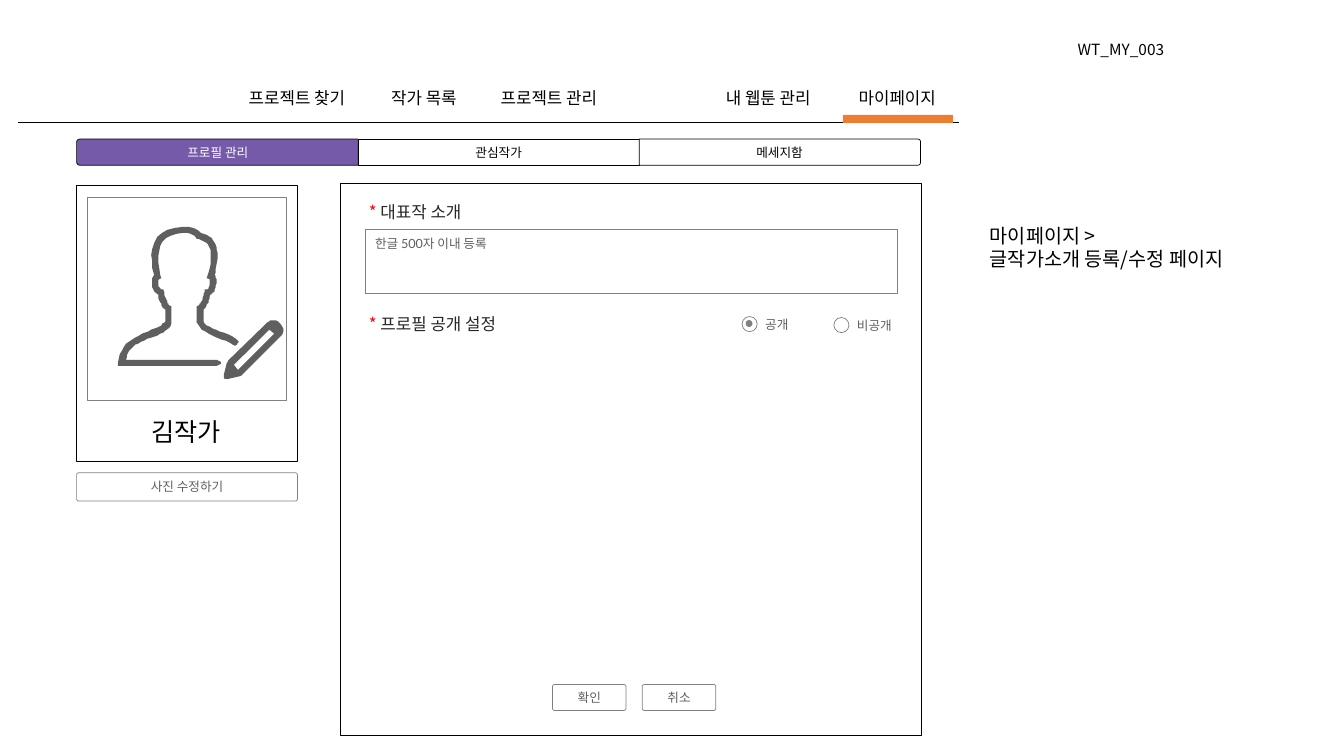
from lxml import etree
from pptx import Presentation, util as u
from pptx.dml.color import RGBColor
from pptx.enum import shapes, text
from pptx.oxml.ns import qn

KOREAN, LATIN = "Noto Sans CJK KR", "Lato"
BLACK, WHITE, GREY, EDGE, DARK = "000000", "FFFFFF", "5F5F5F", "808080", "262626"
RED, PURPLE, ORANGE = "FF0000", "755AA9", "ED7D31"
KIND = shapes.MSO_SHAPE
LEFT, CENTER = text.PP_ALIGN.LEFT, text.PP_ALIGN.CENTER

MENU = [("프로젝트 찾기", 2.3, 1.29), ("작가 목록", 3.74, 0.93), ("프로젝트 관리", 4.81, 1.27),
        ("내 웹툰 관리", 7.02, 1.2), ("마이페이지", 8.36, 1.08)]
TABS = [("프로필 관리", KIND.ROUND_2_SAME_RECTANGLE, (0, 0.121), PURPLE, WHITE),
        ("관심작가", KIND.RECTANGLE, (), WHITE, BLACK),
        ("메세지함", KIND.ROUND_2_SAME_RECTANGLE, (0.106, 0), WHITE, BLACK)]
FIELDS = [("대표작 소개", 1.95, 5.81), ("프로필 공개 설정", 3.06, 3.26)]
RADIOS = [("공개", 7.36, 3.14, 0.41, True), ("비공개", 8.27, 3.15, 0.54, False)]
BUTTONS = ["확인", "취소"]
NOTE = ["마이페이지 >", "글작가소개 등록/수정 페이지"]

MARGIN, TAB_TOP, TAB_W, TAB_H = 0.76, 1.38, 2.79, 0.26
BUTTON_LEFT, BUTTON_STEP = 5.48, 0.89

# Outlines in hundredths of an inch: M move, L line, C cubic curve.
OUTER_LEFT = """M 182 225 C 167 225 157 231 153 241 C 149 250 150 261 153 273
C 151 275 150 278 151 281 C 151 285 152 288 154 290 C 154 291 156 291 157 292
C 157 295 158 299 160 301 C 160 303 161 305 162 306 C 163 306 163 307 164 307
C 164 311 164 314 164 319 C 162 321 160 323 156 325 C 152 327 146 329 141 331
C 135 334 130 337 125 341 C 121 346 118 352 117 360 L 117 363 L 215 363"""
INNER_LEFT = """C 220 363 220 357 215 357 L 125 357 C 126 352 127 349 130 346
C 133 342 138 340 143 338 C 149 335 154 334 159 331 C 164 329 168 326 170 321
L 170 304 L 168 303 C 167 302 166 300 166 299 C 164 296 163 292 163 290
L 162 287 L 160 287 C 158 286 157 284 157 280 C 156 279 157 278 158 277
L 160 276 L 159 273 C 156 261 156 251 159 244 C 162 236 169 232 182 231"""
INNER_RIGHT = """C 189 231 193 233 194 235 L 195 237 L 197 237 C 201 238 204 240 206 242
C 208 245 209 248 209 252 C 210 260 208 269 206 273 L 205 276 L 208 277
C 208 284 207 285 206 287 L 203 287 L 203 290 C 202 292 201 296 200 299
C 199 300 198 302 197 303 L 195 304 L 195 320 L 196 321
C 198 327 205 330 211 333 C 218 336 226 339 231 342 C 235 345 239 339 235 337"""
OUTER_RIGHT = """C 228 332 221 330 214 327 C 208 325 204 322 202 319 C 202 314 202 311 202 307
C 204 305 205 303 206 301 C 207 299 208 295 209 292 C 210 291 211 291 212 290
C 213 288 214 285 215 281 C 215 278 214 275 213 273 C 214 268 216 260 216 251
C 215 247 214 242 211 238 C 209 235 205 232 199 231 C 196 227 190 225 182 225"""
PENCIL = """M 271 318 C 269 318 266 319 264 321 L 226 358 C 226 359 226 359 225 360
L 222 372 C 221 375 224 377 226 376 L 239 373 C 239 373 240 372 240 372 L 278 334
C 282 331 282 325 278 321 C 276 319 274 318 271 318
M 267 327 L 272 331 L 236 367 L 232 362 L 267 327"""
ICON = [OUTER_LEFT, INNER_LEFT, INNER_RIGHT, OUTER_RIGHT, PENCIL]


def color(hex_code):
    """Turn a hex string into a colour."""
    return RGBColor.from_string(hex_code)


def inches(*lengths):
    """Turn numbers into inch lengths."""
    return [u.Inches(length) for length in lengths]


def paint(shape, fill=None, line=None, weight=0.5):
    """Set fill and outline, and drop the shadow."""
    shape.shadow.inherit = False
    if fill:
        shape.fill.solid()
        shape.fill.fore_color.rgb = color(fill)
    else:
        shape.fill.background()
    if line:
        shape.line.color.rgb = color(line)
        shape.line.width = u.Pt(weight)
    else:
        shape.line.fill.background()
    return shape


def write(frame, lines, size, font=LATIN, ink=GREY, align=LEFT):
    """Fill a text frame; a line is a string or a list of (words, ink) runs."""
    for i, line in enumerate(lines):
        paragraph = frame.add_paragraph() if i else frame.paragraphs[0]
        paragraph.alignment = align
        paragraph.font.size, paragraph.font.name = u.Pt(size), font
        if isinstance(line, str):
            paragraph.add_run().text = line
            paragraph.font.color.rgb = color(ink)
            continue
        for words, run_ink in line:
            run = paragraph.add_run()
            run.text = words
            run.font.color.rgb = color(run_ink)


def box(parent, kind, at, fill=None, line=None, weight=0.5, adjust=()):
    """Add a preset shape."""
    shape = parent.add_shape(kind, *inches(*at))
    for i, share in enumerate(adjust):
        shape.adjustments[i] = share
    return paint(shape, fill, line, weight)


def label(parent, at, lines, size, font=KOREAN, ink=BLACK, align=LEFT, wrap=True):
    """Add a text box."""
    frame = parent.add_textbox(*inches(*at)).text_frame
    frame.word_wrap = wrap
    frame.auto_size = text.MSO_AUTO_SIZE.SHAPE_TO_FIT_TEXT
    write(frame, lines, size, font, ink, align)
    return frame


def button(at, caption, corner):
    """Add a rounded button with a centred caption."""
    shape = box(canvas, KIND.ROUNDED_RECTANGLE, at, WHITE, EDGE, adjust=[corner])
    shape.text_frame.vertical_anchor = text.MSO_ANCHOR.MIDDLE
    write(shape.text_frame, [caption], 9, align=CENTER)


def tab(parent, column, caption, kind, corners, fill, ink):
    """Add one tab; end tabs are turned so their round corners face outward."""
    left, turned = MARGIN + column * TAB_W, bool(corners)
    at = (left, TAB_TOP, TAB_W, TAB_H)
    if turned:
        shift = (TAB_W - TAB_H) / 2
        at = (left + shift, TAB_TOP - shift, TAB_H, TAB_W)
    shape = box(parent, kind, at, fill, BLACK, adjust=corners)
    frame = shape.text_frame
    frame.margin_left = frame.margin_right = frame.margin_top = frame.margin_bottom = 0
    frame.vertical_anchor = text.MSO_ANCHOR.MIDDLE
    if turned:
        shape.rotation = 90
        frame._txBody.find(qn("a:bodyPr")).set("vert", "vert270")
    write(frame, [caption], 9, ink=ink, align=CENTER)


def radio(caption, left, top, width, chosen):
    """Add a radio button with its caption."""
    group = canvas.add_group_shape().shapes
    box(group, KIND.OVAL, (left, top, 0.15, 0.15), WHITE, EDGE)
    if chosen:
        box(group, KIND.OVAL, (left + 0.04, top + 0.04, 0.06, 0.06), EDGE, EDGE)
    frame = label(group, (left + 0.15, top - 0.04, width, 0.23), [caption], 9, LATIN, GREY, wrap=False)
    frame.margin_left = frame.margin_right = u.Inches(0.08)
    frame.margin_top = frame.margin_bottom = u.Inches(0.04)
    frame.vertical_anchor = text.MSO_ANCHOR.MIDDLE


def contours(outline, steps=5):
    """Turn an outline into lists of points, with curves cut into short steps."""
    found = []
    for part in outline.replace("M", "|M").replace("L", "|L").replace("C", "|C").split("|")[1:]:
        command, *numbers = part.split()
        values = [int(number) for number in numbers]
        points = list(zip(values[::2], values[1::2]))
        if command == "M":
            found.append(points)
        elif command == "L":
            found[-1] += points
        else:
            curve = [found[-1][-1]] + points
            for t in (i / steps for i in range(1, steps + 1)):
                weights = ((1 - t) ** 3, 3 * t * (1 - t) ** 2, 3 * t * t * (1 - t), t ** 3)
                found[-1].append(tuple(sum(w * p[axis] for w, p in zip(weights, curve)) for axis in (0, 1)))
    return found


def border(cell, ink, weight):
    """Draw all four borders of a table cell."""
    for i, side in enumerate(("lnL", "lnR", "lnT", "lnB")):
        edge = etree.Element(qn("a:" + side), w=str(u.Pt(weight)))
        fill = etree.SubElement(edge, qn("a:solidFill"))
        etree.SubElement(fill, qn("a:srgbClr"), val=ink)
        cell._tc.get_or_add_tcPr().insert(i, edge)


deck = Presentation()
deck.slide_width, deck.slide_height = inches(13.33, 7.5)
canvas = deck.slides.add_slide(deck.slide_layouts[6]).shapes
# Profile form
box(canvas, KIND.RECTANGLE, (3.38, 1.82, 5.76, 5.48), line=BLACK, weight=1)
for caption, top, width in FIELDS:
    label(canvas, (3.56, top, width, 0.3), [[("* ", RED), (caption, DARK)]], 12)
for i, caption in enumerate(BUTTONS):
    button((BUTTON_LEFT + i * BUTTON_STEP, 6.79, 0.73, 0.26), caption, 0.088)
intro = canvas.add_table(1, 1, *inches(3.62, 2.27, 5.28, 0.64)).table.cell(0, 0)
intro.fill.solid()
intro.fill.fore_color.rgb = color(WHITE)
border(intro, EDGE, 0.5)
write(intro.text_frame, ["한글 500자 이내 등록"], 9)
for option in RADIOS:
    radio(*option)
# Tabs, page code and note
tab_bar = canvas.add_group_shape().shapes
for column, content in enumerate(TABS):
    tab(tab_bar, column, *content)
label(canvas, (10.59, 0.35, 2.59, 0.29), ["WT_MY_003"], 11)
label(canvas, (9.72, 2.17, 3.23, 0.57), NOTE, 14)
# Author card
box(canvas, KIND.RECTANGLE, (MARGIN, 1.84, 2.19, 2.74), line=BLACK, weight=1)
box(canvas, KIND.RECTANGLE, (0.87, 1.96, 1.97, 2.01), WHITE, EDGE)
rings = contours(" ".join(ICON))
portrait = canvas.build_freeform(*rings[0][0], scale=u.Inches(0.01))
for i, ring in enumerate(rings):
    if i:
        portrait.move_to(*ring[0])
    portrait.add_line_segments(ring[1:], close=True)
paint(portrait.convert_to_shape(), GREY)
button((MARGIN, 4.69, 2.19, 0.28), "사진 수정하기", 0.075)
label(canvas, (0.87, 4.08, 1.95, 0.4), ["김작가"], 18, align=CENTER)
# Main menu
rule = canvas.add_connector(shapes.MSO_CONNECTOR.STRAIGHT, *inches(0.18, 1.21, 9.51, 1.21))
rule.line.color.rgb, rule.line.width = color(BLACK), u.Pt(0.5)
etree.SubElement(rule._element.spPr, qn("a:effectLst"))
box(canvas, KIND.RECTANGLE, (8.36, 1.14, 1.09, 0.08), ORANGE)
for caption, left, width in MENU:
    label(canvas, (left, 0.82, width, 0.3), [caption], 12, align=CENTER)
deck.save("out.pptx")
